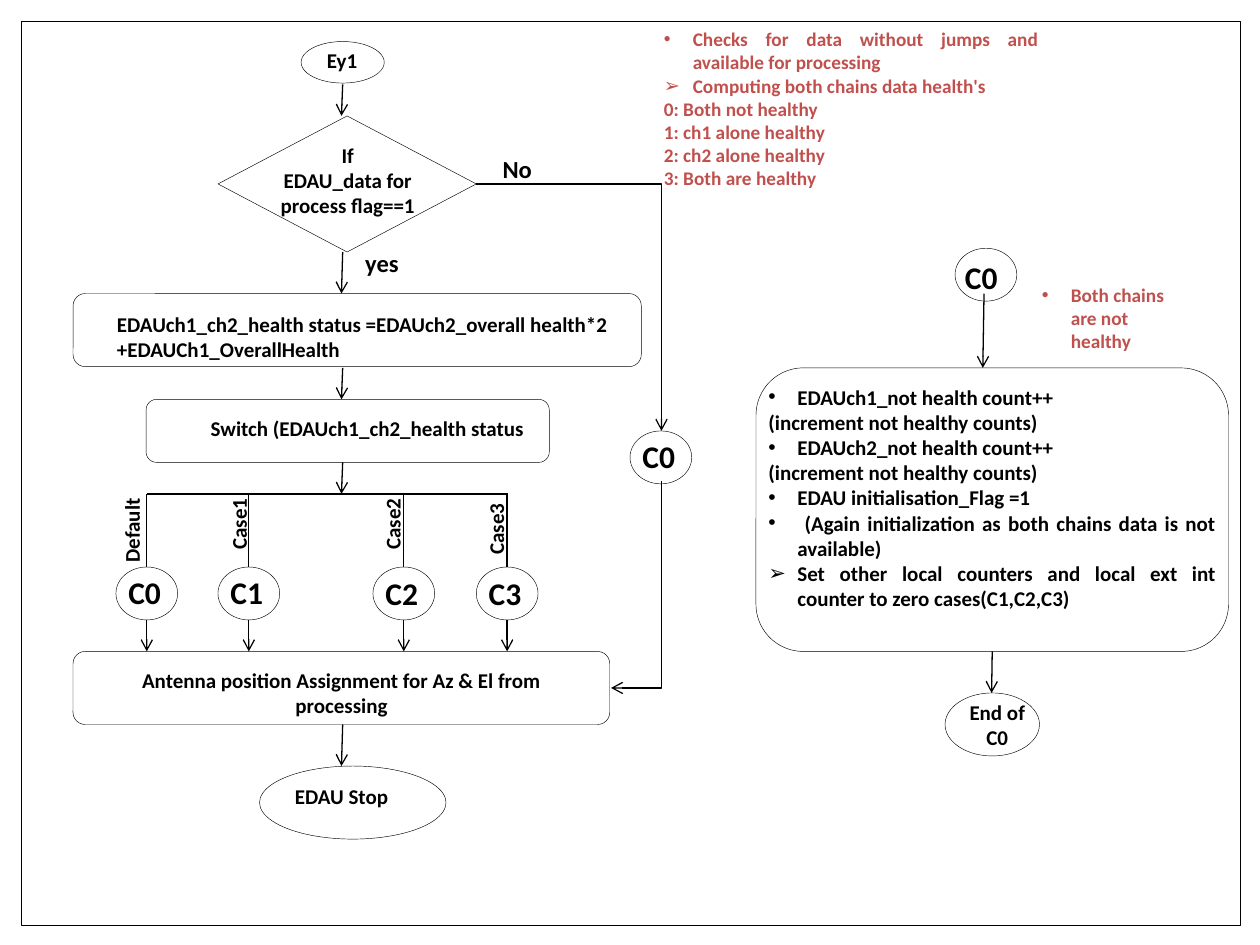
"""Builds a flowchart slide for the EDAU channel health check."""
from lxml import etree
from pptx import Presentation
from pptx.dml.color import RGBColor
from pptx.enum.shapes import MSO_CONNECTOR as LINK, MSO_SHAPE as SHAPE
from pptx.enum.text import MSO_AUTO_SIZE as AUTO, PP_ALIGN as ALIGN
from pptx.oxml.ns import qn
from pptx.util import Inches, Pt

BLACK = RGBColor(0x00, 0x00, 0x00)
RED = RGBColor(0xC0, 0x50, 0x4D)
DOT, ARROW = "•", "➢"


class Flowchart:
    """Holds the style and the current slide."""

    font = "Calibri"
    indent = Inches(0.23)
    outline = Pt(0.25)
    stroke = Pt(0.75)

    def __init__(self, slide):
        self.s = slide

    def shape(self, kind, x, y, w, h):
        sp = self.s.shapes.add_shape(kind, Inches(x), Inches(y), Inches(w), Inches(h))
        sp.shadow.inherit = False
        sp.fill.background()
        sp.line.color.rgb = BLACK
        sp.line.width = self.outline
        return sp

    def bullet(self, p, char):
        pPr = p._p.get_or_add_pPr()
        pPr.set("marL", str(self.indent))
        pPr.set("indent", str(-self.indent))
        font = etree.SubElement(pPr, qn("a:buFont"))
        font.set("typeface", "Wingdings" if char == ARROW else "Arial")
        if char == ARROW:
            font.set("typeface", "Arial")
        etree.SubElement(pPr, qn("a:buChar")).set("char", char)

    def text(self, items, x, y, w, h, size=12, align=ALIGN.CENTER, color=BLACK, rotation=0):
        sp = self.s.shapes.add_textbox(Inches(x), Inches(y), Inches(w), Inches(h))
        sp.rotation = rotation
        tf = sp.text_frame
        tf.word_wrap = True
        tf.auto_size = AUTO.SHAPE_TO_FIT_TEXT
        for i, (char, words) in enumerate(items):
            p = tf.add_paragraph() if i else tf.paragraphs[0]
            p.alignment = align
            if char:
                self.bullet(p, char)
            r = p.add_run()
            r.text = words
            r.font.name = self.font
            r.font.size = Pt(size)
            r.font.bold = True
            r.font.color.rgb = color

    def label(self, words, *box, **style):
        self.text([(None, words)], *box, **style)

    def node(self, name, x, y, dx=0, dy=0):
        self.shape(SHAPE.OVAL, x, y, 0.49, 0.42)
        self.label(name, x + dx, y + dy, 0.49, 0.4, size=18, align=ALIGN.LEFT)

    def line(self, x1, y1, x2, y2, head=True, kind=LINK.STRAIGHT):
        c = self.s.shapes.add_connector(kind, Inches(x1), Inches(y1), Inches(x2), Inches(y2))
        c.line.color.rgb = BLACK
        c.line.width = self.stroke
        if head:
            etree.SubElement(c.line._get_or_add_ln(), qn("a:tailEnd")).set("type", "arrow")
        etree.SubElement(c._element.spPr, qn("a:effectLst"))
        return c

    def corner(self, x, y, w, h, rotation=0):
        c = self.line(x, y, x + w, y + h, kind=LINK.ELBOW)
        spPr = c._element.spPr
        spPr.find(qn("a:prstGeom")).set("prst", "bentConnector2")
        spPr.find(qn("a:xfrm")).set("rot", str(rotation * 60000))


def main():
    prs = Presentation()
    prs.slide_width, prs.slide_height = Inches(10), Inches(7.5)
    chart = Flowchart(prs.slides.add_slide(prs.slide_layouts[6]))

    chart.shape(SHAPE.RECTANGLE, 0.17, 0.17, 9.67, 7.17)
    chart.text([
        (DOT, "Checks for data without jumps and available for processing"),
        (ARROW, "Computing both chains data health's"),
        (None, "0: Both not healthy"),
        (None, "1: ch1 alone healthy"),
        (None, "2: ch2 alone healthy"),
        (None, "3: Both are healthy"),
    ], 5.17, 0.17, 3.17, 1.39, size=11, align=ALIGN.JUSTIFY, color=RED)

    chart.shape(SHAPE.OVAL, 2.39, 0.33, 0.66, 0.33)
    chart.label("Ey1", 2.47, 0.33, 0.49, 0.3)
    chart.shape(SHAPE.FLOWCHART_DECISION, 1.73, 0.92, 2.05, 1.08)
    chart.text([(None, "If"), (None, "EDAU_data for process flag==1")], 1.9, 1.08, 1.72, 0.7)
    chart.label("yes", 2.8, 1.92, 0.49, 0.34, size=14, align=ALIGN.LEFT)
    chart.label("No", 3.86, 1.17, 0.49, 0.34, size=14)
    chart.shape(SHAPE.ROUNDED_RECTANGLE, 0.58, 2.33, 4.51, 0.58)
    chart.label("EDAUch1_ch2_health status =EDAUch2_overall health*2 +EDAUCh1_OverallHealth",
                0.83, 2.42, 4.18, 0.5, align=ALIGN.LEFT)
    chart.shape(SHAPE.ROUNDED_RECTANGLE, 1.16, 3.17, 3.2, 0.5)
    chart.label("Switch (EDAUch1_ch2_health status", 1.49, 3.25, 2.85, 0.3)
    chart.shape(SHAPE.ROUNDED_RECTANGLE, 0.58, 5.17, 4.26, 0.58)
    chart.label("Antenna position Assignment for Az & El from processing", 0.92, 5.25, 3.58, 0.5)
    chart.shape(SHAPE.OVAL, 2.06, 6.08, 1.48, 0.58)
    chart.label("EDAU Stop", 2.22, 6.17, 0.98, 0.3)
    for top, bottom in [(0.67, 0.92), (2, 2.33), (2.92, 3.17), (3.67, 3.92), (5.75, 6.08)]:
        chart.line(2.72, top, 2.71, bottom)

    chart.line(1.17, 3.92, 4.03, 3.92, head=False)
    for name, x, dy, case, case_x, case_y, case_w in [
        ("C0", 0.92, 0, "Default", 0.67, 4.06, 0.75),
        ("C1", 1.73, 0, "Case1", 1.56, 4.01, 0.67),
        ("C2", 2.96, 0.01, "Case2", 2.78, 4.01, 0.67),
        ("C3", 3.78, 0.01, "Case3", 3.6, 4.05, 0.67),
    ]:
        middle = x + 0.245
        chart.node(name, x, 4.5, dy=dy)
        chart.label(case, case_x, case_y, case_w, 0.3, rotation=270)
        chart.line(middle, 4.5, middle, 3.92, head=False)
        chart.line(middle, 4.92, middle, 5.17)

    chart.node("C0", 5, 3.42)
    chart.corner(3.78, 1.46, 1.47, 1.96)
    chart.corner(4.23, 4.44, 1.64, 0.4, rotation=90)

    chart.node("C0", 7.58, 1.97, dx=-0.02, dy=0.03)
    chart.text([(DOT, "Both chains are not healthy")], 8.17, 2.2, 1.33, 0.47,
               size=11, align=ALIGN.LEFT, color=RED)
    chart.line(7.81, 2.33, 7.8, 2.92)
    counters = chart.shape(SHAPE.ROUNDED_RECTANGLE, 6, 2.92, 3.75, 2.25)
    chart.text([
        (DOT, "EDAUch1_not health count++"),
        (None, "(increment not healthy counts)"),
        (DOT, "EDAUch2_not health count++"),
        (None, "(increment not healthy counts)"),
        (DOT, "EDAU initialisation_Flag =1"),
        (DOT, " (Again initialization as both chains data is not available)"),
        (ARROW, "Set other local counters and local ext int counter to zero cases(C1,C2,C3)"),
    ], 6, 3, 3.75, 1.9, align=ALIGN.JUSTIFY)
    chart.shape(SHAPE.OVAL, 7.5, 5.5, 0.75, 0.5)
    chart.label("End of C0", 7.58, 5.5, 0.67, 0.5)
    chart.line(7.88, 5.17, 7.87, 5.5).begin_connect(counters, 2)

    prs.save("out.pptx")


if __name__ == "__main__":
    main()
